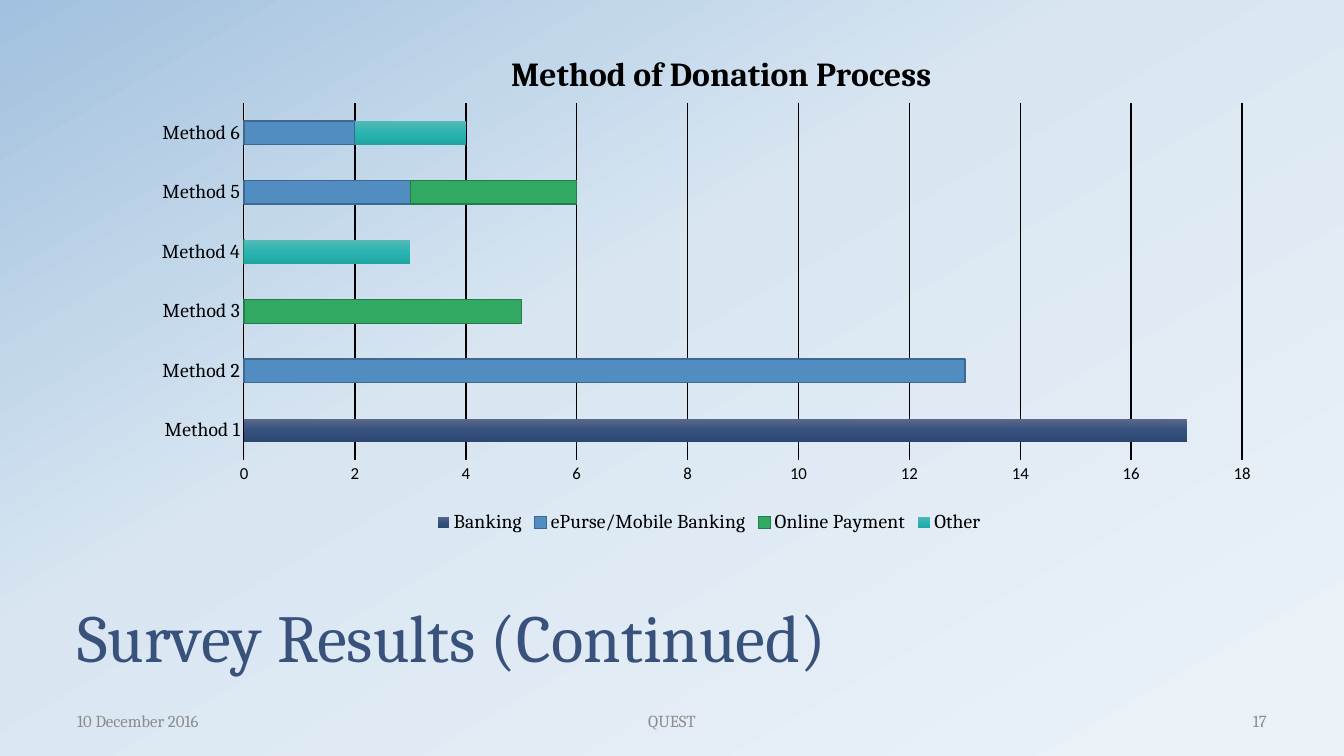
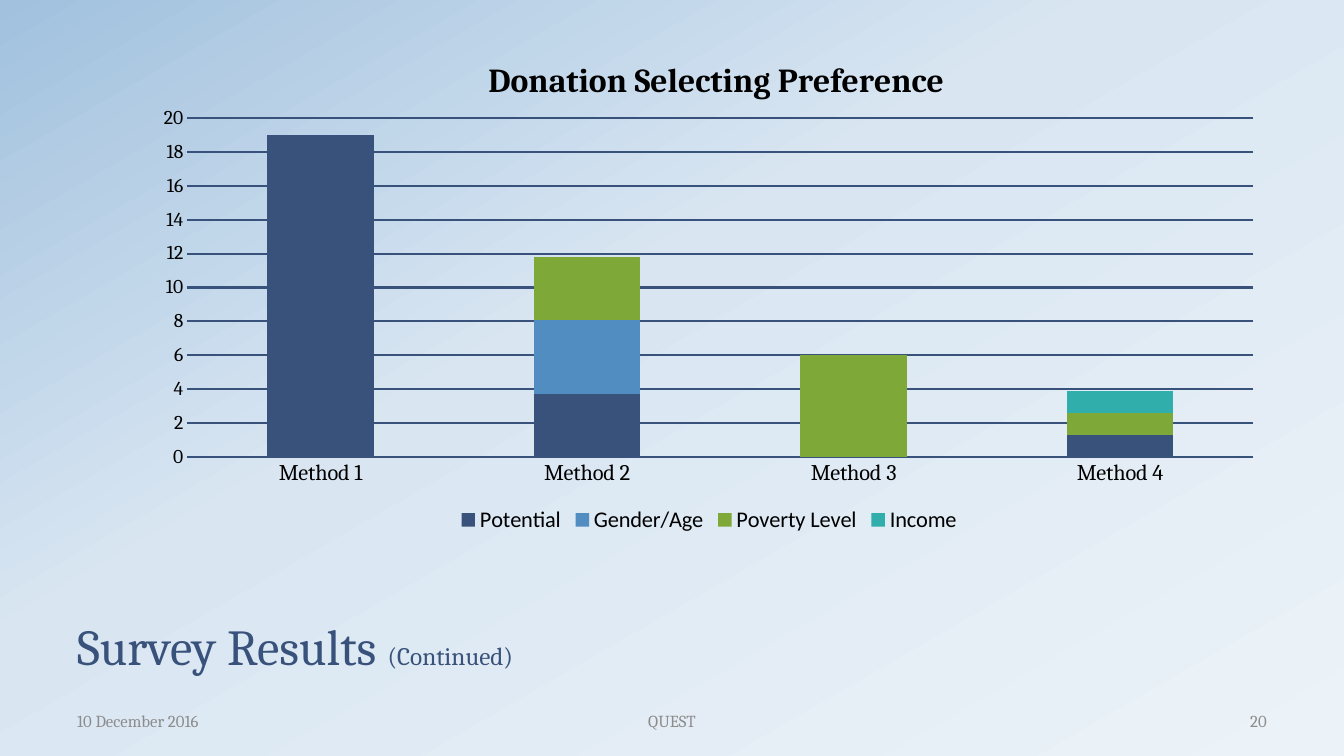
from lxml import etree
from pptx import Presentation
from pptx.chart.data import CategoryChartData
from pptx.dml.color import RGBColor
from pptx.enum.chart import XL_CHART_TYPE, XL_LEGEND_POSITION, XL_TICK_MARK
from pptx.enum.text import MSO_ANCHOR, PP_ALIGN
from pptx.oxml import parse_xml
from pptx.oxml.ns import nsdecls, qn
from pptx.util import Pt

BAR, COLUMN = XL_CHART_TYPE.BAR_STACKED, XL_CHART_TYPE.COLUMN_STACKED
LEGEND_BOTTOM = XL_LEGEND_POSITION.BOTTOM
NO_TICK = XL_TICK_MARK.NONE
MIDDLE, BOTTOM = MSO_ANCHOR.MIDDLE, MSO_ANCHOR.BOTTOM
LEFT, CENTER, RIGHT = PP_ALIGN.LEFT, PP_ALIGN.CENTER, PP_ALIGN.RIGHT

SERIF, SANS = "Cambria", "Calibri"
BLACK = RGBColor(0x00, 0x00, 0x00)
CHART_GREY = RGBColor(0x40, 0x40, 0x40)
FOOTER_GREY = RGBColor(0x8C, 0x8C, 0x8C)
AXIS_GREY = RGBColor(0xD9, 0xD9, 0xD9)
NAVY = RGBColor(0x39, 0x52, 0x7B)
BLUE = RGBColor(0x52, 0x8D, 0xC2)
BLUE_EDGE = RGBColor(0x3D, 0x68, 0x90)
GREEN = RGBColor(0x31, 0xA9, 0x62)
GREEN_EDGE = RGBColor(0x24, 0x7D, 0x49)
OLIVE = RGBColor(0x7E, 0xA9, 0x39)
TEAL = RGBColor(0x30, 0xAE, 0xAB)

# Gradients: (position in percent, colour)
BACKGROUND = [(0, RGBColor(0xEC, 0xF3, 0xF8)), (58, RGBColor(0xD9, 0xE6, 0xF2)),
              (100, RGBColor(0xA1, 0xC1, 0xDE))]
NAVY_SHADES = [(0, RGBColor(0x5A, 0x6A, 0x8B)), (50, RGBColor(0x36, 0x51, 0x7E)),
               (100, RGBColor(0x2D, 0x47, 0x73))]
TEAL_SHADES = [(0, RGBColor(0x55, 0xB9, 0xB6)), (50, RGBColor(0x2A, 0xB4, 0xB1)),
               (100, RGBColor(0x1F, 0xA6, 0xA3))]

# Shared frame: left, top, width, height
SLIDE_SIZE = (960, 540)
TITLE_BOX = (48, 402, 864, 84)
FOOTER_TOP, FOOTER_HEIGHT = 500.5, 28.8
CHART_LEFT, CHART_WIDTH, CHART_BOTTOM = 101.5, 810, 384.3

# Series: name, values, fill (colour or gradient), outline
# Layout fractions: title (x, y), plot (x, y, width, height)
SLIDES = [
    dict(title=[("Survey Results (Continued)", 48)], number="17",
         chart=dict(
             kind=BAR, top=14.4, title="Method of Donation Process",
             title_at=(0.32, 0.05), plot_at=(0.09, 0.16, 0.88, 0.69),
             category_font=(SERIF, 14), value_font=(SANS, 12), legend_font=(SERIF, 14),
             category_line=AXIS_GREY, grid=(BLACK, 1), maximum=18,
             series=[
                 ("Banking", (17, 0, 0, 0, 0, 0), NAVY_SHADES, None),
                 ("ePurse/Mobile Banking", (0, 13, 0, 0, 3, 2), BLUE, BLUE_EDGE),
                 ("Online Payment", (0, 0, 5, 0, 3, None), GREEN, GREEN_EDGE),
                 ("Other", (0, 0, 0, 3, 0, 2), TEAL_SHADES, None)])),
    dict(title=[("Survey Results ", 36), ("(Continued)", 18)], number="20",
         chart=dict(
             kind=COLUMN, top=23, title="Donation Selecting Preference",
             title_at=(0.3, 0.04), plot_at=(0.04, 0.17, 0.94, 0.67),
             category_font=(SERIF, 16), value_font=(SERIF, 14), legend_font=(SANS, 16),
             category_line=None, grid=(NAVY, 1.5), maximum=20,
             series=[
                 ("Potential", (19, 3.7, 0, 1.3), NAVY, None),
                 ("Gender/Age", (0, 4.4, 0, 0), BLUE, None),
                 ("Poverty Level", (0, 3.7, 6, 1.3), OLIVE, None),
                 ("Income", (0, 0, 0, 1.3), TEAL, None)])),
]


def set_font(font, name, size, colour, bold=False):
    font.name, font.size, font.bold = name, Pt(size), bold
    font.color.rgb = colour


def set_line(line, colour, width):
    if colour is None:
        line.fill.background()
    else:
        line.color.rgb, line.width = colour, Pt(width)


def set_gradient(fill, owner, stops, clockwise_angle):
    """Give fill, which lies inside the element owner, any number of stops."""
    fill.gradient()
    fill.gradient_angle = 360 - clockwise_angle
    stop_list = owner.find(".//" + qn("a:gsLst"))
    for old_stop in list(stop_list):
        stop_list.remove(old_stop)
    for position, colour in stops:
        stop = etree.SubElement(stop_list, qn("a:gs"), pos=str(position * 1000))
        etree.SubElement(stop, qn("a:srgbClr"), val=str(colour))


def set_layout(parent, after, fractions, inner=False):
    """Place a chart part by fractions of the chart area."""
    for old_layout in parent.findall(qn("c:layout")):
        parent.remove(old_layout)
    target = '<c:layoutTarget val="inner"/>' if inner else ""
    modes = '<c:xMode val="edge"/><c:yMode val="edge"/>'
    values = "".join(f'<c:{key} val="{value}"/>' for key, value in zip("xywh", fractions))
    layout = parse_xml(f'<c:layout {nsdecls("c")}><c:manualLayout>'
                       f'{target}{modes}{values}</c:manualLayout></c:layout>')
    if after is None:
        parent.insert(0, layout)
    else:
        after.addnext(layout)


def add_text(slide, box, runs, colour, anchor, alignment=LEFT, spacing=None):
    frame = slide.shapes.add_textbox(*map(Pt, box)).text_frame
    frame.word_wrap, frame.vertical_anchor = True, anchor
    paragraph = frame.paragraphs[0]
    paragraph.alignment, paragraph.line_spacing = alignment, spacing
    for text, size in runs:
        run = paragraph.add_run()
        run.text = text
        set_font(run.font, SERIF, size, colour)


def add_survey_chart(slide, content):
    data = CategoryChartData()
    count = len(content["series"][0][1])
    data.categories = [f"Method {number}" for number in range(1, count + 1)]
    for name, values, _, _ in content["series"]:
        data.add_series(name, values)
    top = content["top"]
    chart = slide.shapes.add_chart(
        content["kind"], Pt(CHART_LEFT), Pt(top), Pt(CHART_WIDTH),
        Pt(CHART_BOTTOM - top), data).chart
    set_font(chart.font, SANS, 10, CHART_GREY)

    # Title
    chart.has_title = True
    title = chart.chart_title
    title.include_in_layout = False
    run = title.text_frame.paragraphs[0].add_run()
    run.text = content["title"]
    set_font(run.font, SERIF, 24, BLACK, bold=True)
    title_element = title.text_frame._txBody.getparent().getparent()
    set_layout(title_element, title_element.find(qn("c:tx")), content["title_at"])

    # Plot and series
    plot = chart.plots[0]
    plot.gap_width, plot.overlap, plot.vary_by_categories = 150, 100, False
    plot_area = chart.element.find(".//" + qn("c:plotArea"))
    set_layout(plot_area, None, content["plot_at"], inner=True)
    for series, (_, _, fill, outline) in zip(plot.series, content["series"]):
        if isinstance(fill, list):
            set_gradient(series.format.fill, series._element, fill, 90)
        else:
            series.format.fill.solid()
            series.format.fill.fore_color.rgb = fill
        set_line(series.format.line, outline, 1)

    # Axes and legend
    categories, values = chart.category_axis, chart.value_axis
    for axis, font, line in ((categories, content["category_font"], content["category_line"]),
                             (values, content["value_font"], None)):
        axis.major_tick_mark = axis.minor_tick_mark = NO_TICK
        set_font(axis.tick_labels.font, *font, BLACK)
        set_line(axis.format.line, line, 0.75)
    values.minimum_scale, values.maximum_scale, values.major_unit = 0, content["maximum"], 2
    values.has_major_gridlines = True
    set_line(values.major_gridlines.format.line, *content["grid"])
    chart.has_legend = True
    chart.legend.position, chart.legend.include_in_layout = LEGEND_BOTTOM, False
    set_font(chart.legend.font, *content["legend_font"], BLACK)


def add_slide(presentation, content):
    slide = presentation.slides.add_slide(presentation.slide_layouts[6])
    set_gradient(slide.background.fill, slide.element, BACKGROUND, 240)
    add_text(slide, TITLE_BOX, content["title"], NAVY, BOTTOM, spacing=0.8)
    add_survey_chart(slide, content["chart"])
    for left, width, text, alignment in ((48, 224, "10 December 2016", LEFT),
                                         (328, 304, "QUEST", CENTER),
                                         (688, 224, content["number"], RIGHT)):
        add_text(slide, (left, FOOTER_TOP, width, FOOTER_HEIGHT), [(text, 12)],
                 FOOTER_GREY, MIDDLE, alignment)


def main():
    presentation = Presentation()
    presentation.slide_width, presentation.slide_height = map(Pt, SLIDE_SIZE)
    for content in SLIDES:
        add_slide(presentation, content)
    presentation.save("out.pptx")


if __name__ == "__main__":
    main()
